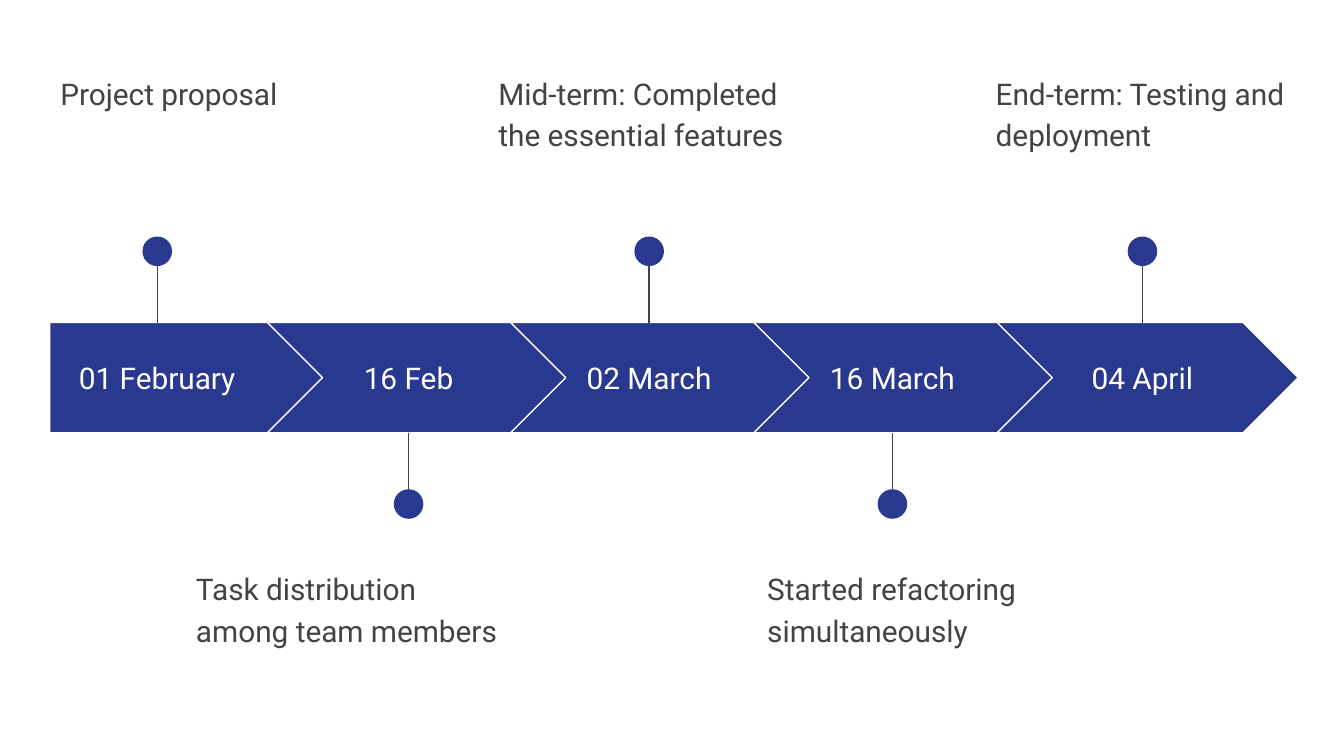
from pptx import Presentation
from pptx import util as u
from pptx.dml.color import RGBColor
from pptx.enum import shapes, text
from pptx.oxml.ns import qn
from lxml import etree

# Content: date, milestone, pin centre x, note left x (inches)
MILESTONES = [
    ("01 February", "Project proposal", 1.17, 0.35),
    ("16 Feb", "Task distribution among team members", 3.04, 1.36),
    ("02 March", "Mid-term: Completed the essential features", 4.83, 3.61),
    ("16 March", "Started refactoring simultaneously", 6.64, 5.61),
    ("04 April", "End-term: Testing and deployment", 8.5, 7.31),
]

BLUE = RGBColor(0x2A, 0x39, 0x90)
GREY = RGBColor(0x43, 0x43, 0x43)
WHITE = RGBColor(0xFF, 0xFF, 0xFF)

# Layout in inches
SLIDE_W = 10
SLIDE_H = SLIDE_W * 9 / 16
BAND_TOP, BAND_H = 2.4, 0.82
BAND_BOTTOM = BAND_TOP + BAND_H
FIRST_X, FIRST_W = 0.37, 2.05
CHEVRON_X, CHEVRON_W, STEP = 1.99, 2.24, 1.81
DATE_W, DATE_H = 1.44, 0.51
DOT, PIN = 0.22, 0.64
NOTE_W, NOTE_H = 2.45, 0.99
NOTE_ABOVE, NOTE_BELOW = 0.42, 4.11

DATE_FORMAT = {"alignment": text.PP_ALIGN.CENTER}
NOTE_FORMAT = {"alignment": text.PP_ALIGN.LEFT, "line_spacing": 1.15,
               "space_after": u.Pt(16)}

prs = Presentation()
prs.slide_width, prs.slide_height = u.Inches(SLIDE_W), u.Inches(SLIDE_H)
s = prs.slides.add_slide(prs.slide_layouts[6])


def inches(*values):
    return [u.Inches(v) for v in values]


def add_filled(kind, x, y, w, h, line=None):
    sp = s.shapes.add_shape(kind, *inches(x, y, w, h))
    sp.shadow.inherit = False
    sp.fill.solid()
    sp.fill.fore_color.rgb = BLUE
    if line is None:
        sp.line.fill.background()
    else:
        sp.line.color.rgb = line
        sp.line.width = u.Pt(0.75)
    return sp


def add_text(words, x, y, w, h, color, anchor, paragraph_format):
    tf = s.shapes.add_textbox(*inches(x, y, w, h)).text_frame
    frame = {"word_wrap": True, "vertical_anchor": anchor}
    for side in ("left", "right", "top", "bottom"):
        frame[f"margin_{side}"] = u.Inches(0.1)
    for name, value in frame.items():
        setattr(tf, name, value)
    p = tf.paragraphs[0]
    for name, value in paragraph_format.items():
        setattr(p, name, value)
    r = p.add_run()
    r.text = words
    for name, value in {"name": "Roboto", "size": u.Pt(16)}.items():
        setattr(r.font, name, value)
    r.font.color.rgb = color


def add_pin(x, band_edge, direction):
    end = band_edge + direction * PIN
    line = s.shapes.add_connector(shapes.MSO_CONNECTOR.STRAIGHT,
                                  *inches(x, end, x, band_edge))
    line.line.color.rgb = GREY
    line.line.width = u.Pt(0.75)
    etree.SubElement(line._element.spPr, qn("a:effectLst"))
    dot_y = end if direction < 0 else end - DOT
    add_filled(shapes.MSO_SHAPE.OVAL, x - DOT / 2, dot_y, DOT, DOT)


for i, (date, note, pin_x, note_x) in enumerate(MILESTONES):
    # Arrow band
    if i == 0:
        kind, x, w = shapes.MSO_SHAPE.PENTAGON, FIRST_X, FIRST_W
    else:
        kind, x, w = shapes.MSO_SHAPE.CHEVRON, CHEVRON_X + (i - 1) * STEP, CHEVRON_W
    arrow = add_filled(kind, x, BAND_TOP, w, BAND_H, WHITE)
    arrow.adjustments[0] = 0.5

    # Date on the band
    add_text(date, pin_x - DATE_W / 2, BAND_TOP + (BAND_H - DATE_H) / 2, DATE_W, DATE_H,
             WHITE, text.MSO_ANCHOR.MIDDLE, DATE_FORMAT)

    # Pin and note, alternating above and below
    above = i % 2 == 0
    add_pin(pin_x, *((BAND_TOP, -1) if above else (BAND_BOTTOM, 1)))
    add_text(note, note_x, NOTE_ABOVE if above else NOTE_BELOW, NOTE_W, NOTE_H,
             GREY, text.MSO_ANCHOR.TOP, NOTE_FORMAT)

prs.save("out.pptx")
